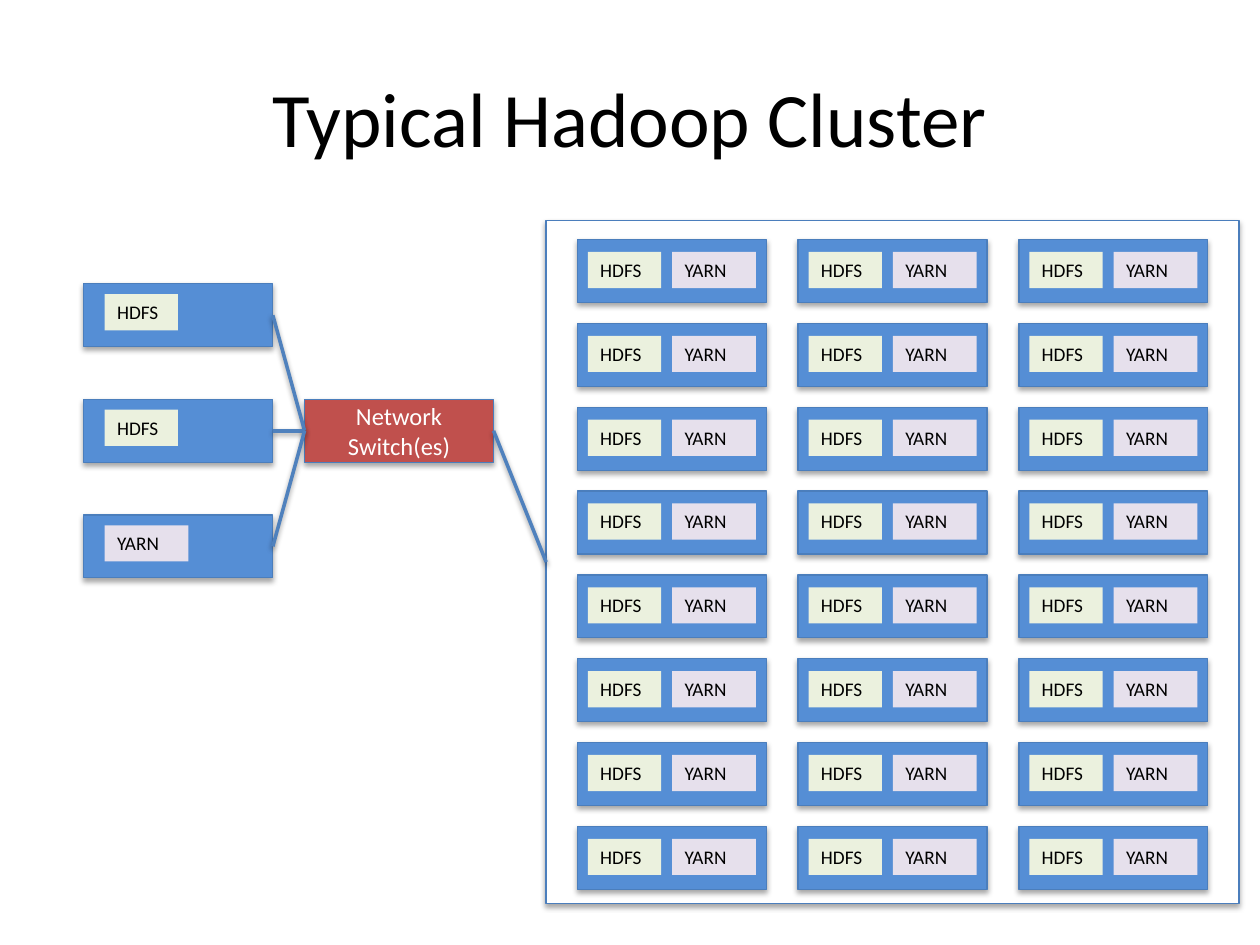
from pptx import Presentation
from pptx.dml.color import RGBColor
from pptx.enum.shapes import MSO_CONNECTOR, MSO_SHAPE
from pptx.enum.text import MSO_ANCHOR, MSO_AUTO_SIZE, PP_ALIGN
from pptx.oxml import parse_xml
from pptx.oxml.ns import nsdecls, qn
from pptx.util import Cm, Pt

RECTANGLE = MSO_SHAPE.RECTANGLE
STRAIGHT = MSO_CONNECTOR.STRAIGHT
CENTER = PP_ALIGN.CENTER
LEFT = PP_ALIGN.LEFT
TOP = MSO_ANCHOR.TOP
MIDDLE = MSO_ANCHOR.MIDDLE
GROW = MSO_AUTO_SIZE.SHAPE_TO_FIT_TEXT
LEFT_SIDE, RIGHT_SIDE = 1, 3

BLACK = RGBColor(0x00, 0x00, 0x00)
WHITE = RGBColor(0xFF, 0xFF, 0xFF)
NODE_BLUE = RGBColor(0x55, 0x8E, 0xD5)
OUTLINE_BLUE = RGBColor(0x4B, 0x7E, 0xBC)
LINK_BLUE = RGBColor(0x4F, 0x81, 0xBD)
SWITCH_RED = RGBColor(0xC0, 0x50, 0x4D)
HDFS_GREEN = RGBColor(0xEB, 0xF1, 0xDE)
YARN_PURPLE = RGBColor(0xE6, 0xE0, 0xEC)

NODE_WIDTH, NODE_HEIGHT = 3.81, 1.27
TAG_HEIGHT = 0.73
TAGS = {"HDFS": (1.48, HDFS_GREEN), "YARN": (1.69, YARN_PURPLE)}

SERVER_LEFT, SERVER_TOP, SERVER_PITCH = 1.69, 5.72, 2.33
SERVERS = ["HDFS", "HDFS", "YARN"]

GRID_LEFT, GRID_TOP = 11.64, 4.83
COLUMN_PITCH, ROW_PITCH = 4.45, 1.69
COLUMNS, ROWS = 3, 8


class ClusterSlide:
    font_name = "Calibri"

    def __init__(self, slide):
        self.slide = slide

    def label(self, shape, text, size, color, alignment, anchor):
        frame = shape.text_frame
        frame.word_wrap = True
        frame.vertical_anchor = anchor
        paragraph = frame.paragraphs[0]
        paragraph.text = text
        paragraph.alignment = alignment
        values = {"name": self.font_name, "size": Pt(size)}
        for name, value in values.items():
            setattr(paragraph.font, name, value)
        paragraph.font.color.rgb = color

    def shadow(self, properties, distance, opacity):
        for effects in properties.findall(qn("a:effectLst")):
            properties.remove(effects)
        properties.append(parse_xml(
            f'<a:effectLst {nsdecls("a")}>'
            f'<a:outerShdw blurRad="40000" dist="{distance}" dir="5400000" rotWithShape="0">'
            f'<a:srgbClr val="{BLACK}"><a:alpha val="{opacity}"/></a:srgbClr>'
            '</a:outerShdw></a:effectLst>'))

    def title(self, text):
        title = self.slide.shapes.title
        box = {"left": 1.27, "top": 0.76, "width": 22.86, "height": 3.18}
        for name, value in box.items():
            setattr(title, name, Cm(value))
        self.label(title, text, 44, BLACK, CENTER, MIDDLE)

    def box(self, left, top, fill, width=NODE_WIDTH, height=NODE_HEIGHT, group=None):
        parent = group or self.slide
        shape = parent.shapes.add_shape(
            RECTANGLE, Cm(left), Cm(top), Cm(width), Cm(height))
        shape.fill.solid()
        shape.fill.fore_color.rgb = fill
        shape.line.color.rgb = OUTLINE_BLUE
        shape.line.width = Pt(0.75)
        self.shadow(shape._element.spPr, 23000, 35000)
        return shape

    def tag(self, left, top, text):
        width, fill = TAGS[text]
        shape = self.slide.shapes.add_textbox(
            Cm(left), Cm(top), Cm(width), Cm(TAG_HEIGHT))
        shape.fill.solid()
        shape.fill.fore_color.rgb = fill
        self.label(shape, text, 11, BLACK, LEFT, TOP)
        shape.text_frame.auto_size = GROW

    def link(self, start, end):
        connector = self.slide.shapes.add_connector(STRAIGHT, 0, 0, 0, 0)
        connector.begin_connect(start, RIGHT_SIDE)
        connector.end_connect(end, LEFT_SIDE)
        connector.line.color.rgb = LINK_BLUE
        connector.line.width = Pt(2)
        self.shadow(connector._element.spPr, 20000, 38000)


def main():
    presentation = Presentation()
    presentation.slide_width = Cm(25.4)
    presentation.slide_height = Cm(19.05)
    slide = presentation.slides.add_slide(presentation.slide_layouts[5])
    cluster = ClusterSlide(slide)
    cluster.title("Typical Hadoop Cluster")

    servers = []
    for index, service in enumerate(SERVERS):
        top = SERVER_TOP + index * SERVER_PITCH
        servers.append(cluster.box(SERVER_LEFT, top, NODE_BLUE))
        cluster.tag(SERVER_LEFT + 0.42, top + 0.21, service)

    switch = cluster.box(6.14, SERVER_TOP + SERVER_PITCH, SWITCH_RED)
    cluster.label(switch, "Network Switch(es)", 14, WHITE, CENTER, MIDDLE)

    workers = slide.shapes.add_group_shape()
    panel = cluster.box(11.01, 4.45, WHITE, 13.97, 13.76, workers)
    for row in range(ROWS):
        for column in range(COLUMNS):
            left = GRID_LEFT + column * COLUMN_PITCH
            top = GRID_TOP + row * ROW_PITCH
            cluster.box(left, top, NODE_BLUE, group=workers)
            cluster.tag(left + 0.21, top + 0.25, "HDFS")
            cluster.tag(left + 1.91, top + 0.25, "YARN")

    for server in servers:
        cluster.link(server, switch)
    cluster.link(switch, panel)

    presentation.save("out.pptx")


if __name__ == "__main__":
    main()
